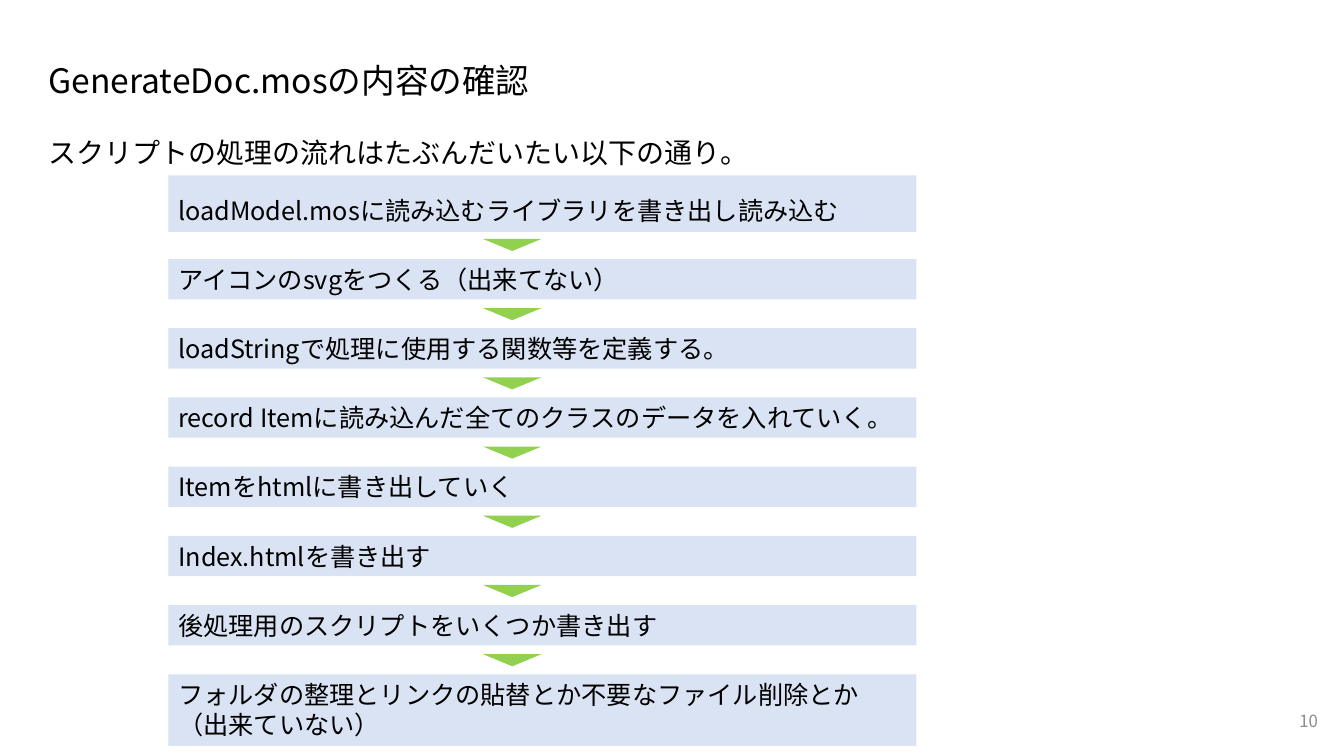
from lxml import etree
from pptx import Presentation
from pptx import util as u
from pptx.dml.color import RGBColor
from pptx.enum import shapes, text
from pptx.oxml.ns import qn

FONT = "Noto Sans CJK JP"
BLACK, GRAY, BLUE, GREEN = "000000", "8C8C8C", "DAE3F3", "92D050"
LEFT, WIDTH = 1.67, 7.42
FIRST, SECOND, LAST = 1.74, 2.57, 6.69
LINE, TALL, PAIR = 0.4, 0.56, 0.71
STEPS = [
    "loadModel.mosに読み込むライブラリを書き出し読み込む",
    "アイコンのsvgをつくる（出来てない）",
    "loadStringで処理に使用する関数等を定義する。",
    "record Itemに読み込んだ全てのクラスのデータを入れていく。",
    "Itemをhtmlに書き出していく",
    "Index.htmlを書き出す",
    "後処理用のスクリプトをいくつか書き出す",
    "フォルダの整理とリンクの貼替とか不要なファイル削除とか\n（出来ていない）",
]


def color(value):
    return RGBColor.from_string(value)


def inches(box):
    return [u.Inches(side) for side in box]


def write(shape, words, size, tint=BLACK, space=1.0,
          align=text.PP_ALIGN.LEFT, anchor=text.MSO_ANCHOR.TOP):
    frame = shape.text_frame
    frame.text = words
    look = {"word_wrap": True, "vertical_anchor": anchor,
            "auto_size": text.MSO_AUTO_SIZE.NONE}
    for name, value in look.items():
        setattr(frame, name, value)
    for para in frame.paragraphs:
        para.alignment, para.line_spacing = align, space
        for run in para.runs:
            run.font.size, run.font.name = u.Pt(size), FONT
            run.font.color.rgb = color(tint)
            east = etree.SubElement(run.font._element, qn("a:ea"))
            east.set("typeface", FONT)


def block(slide, kind, box, fill):
    shape = slide.shapes.add_shape(kind, *inches(box))
    shape.shadow.inherit = False
    shape.fill.solid()
    shape.fill.fore_color.rgb = color(fill)
    shape.line.fill.background()
    return shape


def head(slide, box):
    title = slide.shapes.title
    sides = zip(("left", "top", "width", "height"), inches(box))
    for name, value in sides:
        setattr(title, name, value)
    write(title, "GenerateDoc.mosの内容の確認", 24, space=1.5)


def label(slide, box, words, size, **look):
    write(slide.shapes.add_textbox(*inches(box)), words, size, **look)


def flow(slide, left, width):
    """Stack the steps, with an arrow above each one but the first."""
    final = len(STEPS) - 1
    pitch = (LAST - SECOND) / (final - 1)
    middle = left + width / 2 - 0.3
    for i, words in enumerate(STEPS):
        top = SECOND + (i - 1) * pitch if i else FIRST
        high = {0: TALL, final: PAIR}.get(i, LINE)
        step = block(slide, shapes.MSO_SHAPE.RECTANGLE,
                     (left, top, width, high), BLUE)
        write(step, words, 18, space=1.0 if i else 1.5)
        if i:
            arrow = block(slide, shapes.MSO_SHAPE.ISOSCELES_TRIANGLE,
                          (middle - 0.29, top - 0.2, 0.58, 0.12), GREEN)
            arrow.rotation = 180


def main():
    deck = Presentation()
    deck.slide_width, deck.slide_height = inches((13.33, 7.5))
    slide = deck.slides.add_slide(deck.slide_layouts[5])
    head(slide, (0.38, 0.34, 7.08, 0.61))
    label(slide, (0.38, 1.13, 8.27, 0.61),
          "スクリプトの処理の流れはたぶんだいたい以下の通り。", 20, space=1.5)
    flow(slide, LEFT, WIDTH)
    label(slide, (10.17, 6.95, 3, 0.4), "10", 12, tint=GRAY,
          align=text.PP_ALIGN.RIGHT, anchor=text.MSO_ANCHOR.MIDDLE)
    deck.save("out.pptx")


if __name__ == "__main__":
    main()
